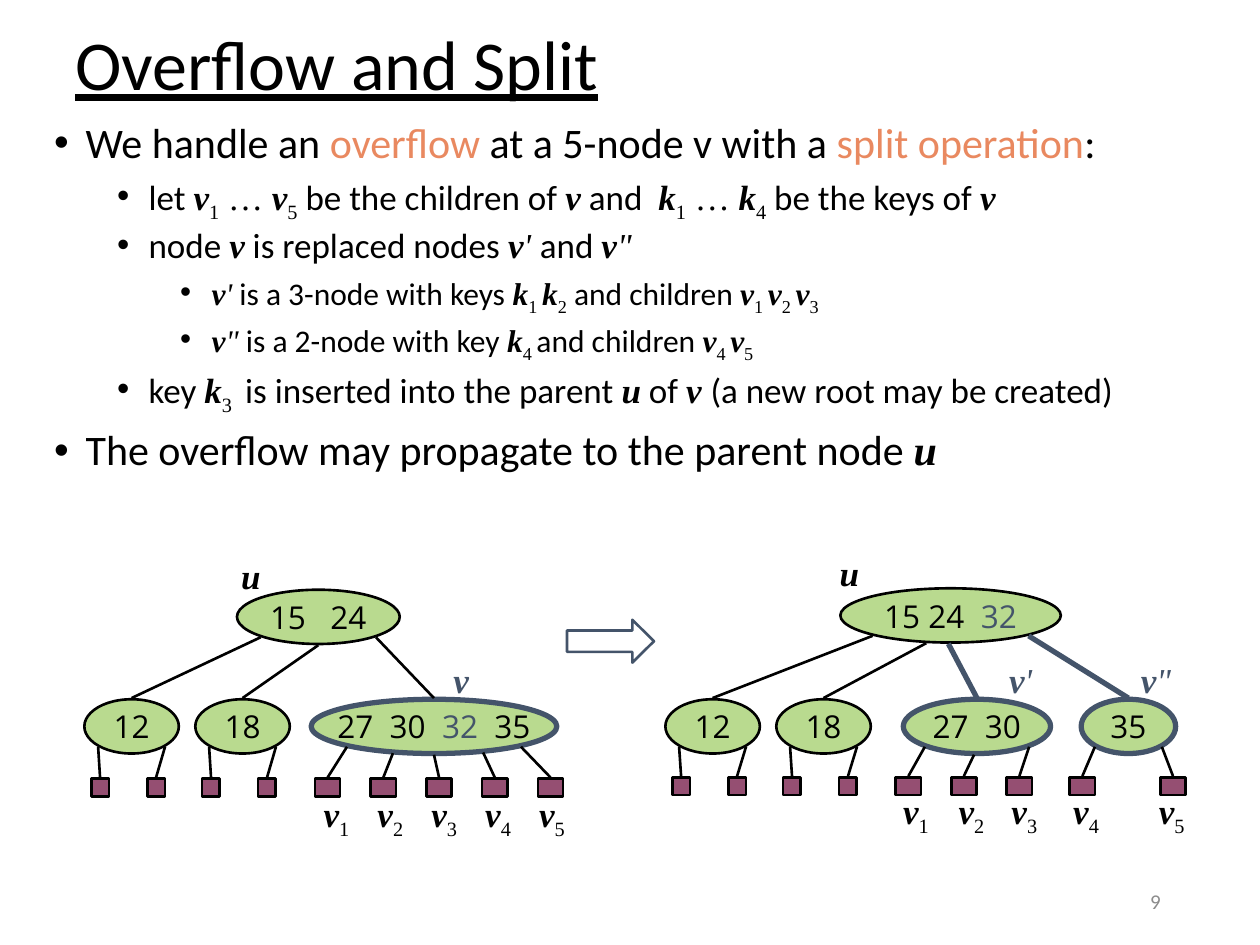
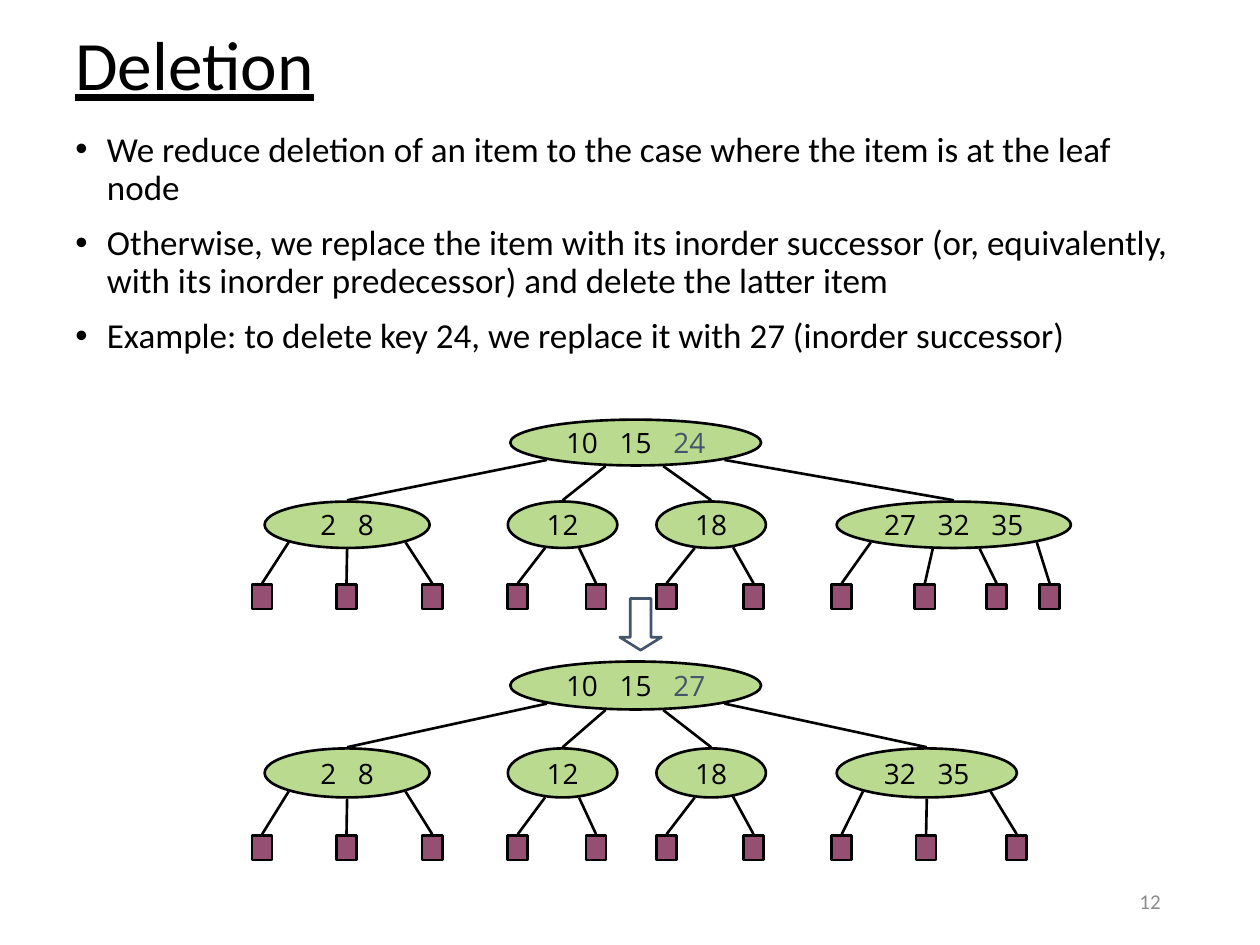
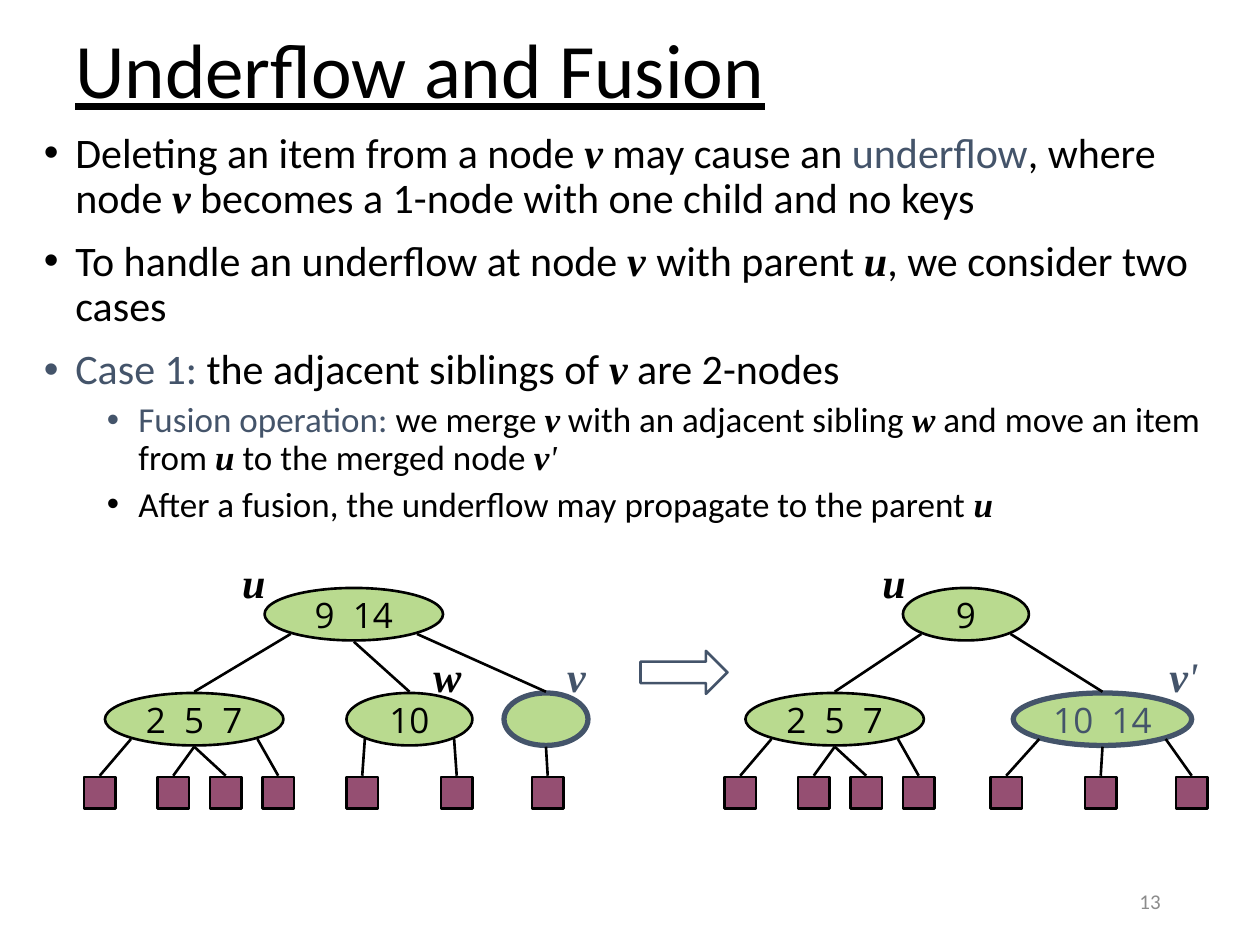
from math import sqrt

from lxml.etree import SubElement
from pptx import Presentation
from pptx.dml.color import RGBColor
from pptx.enum.shapes import MSO_CONNECTOR as Connector, MSO_SHAPE as Preset
from pptx.enum.text import MSO_ANCHOR as Anchor, PP_ALIGN as Align
from pptx.oxml.ns import qn
from pptx.util import Pt

BLACK = RGBColor(0x00, 0x00, 0x00)
SLATE = RGBColor(0x44, 0x54, 0x6A)
ORANGE = RGBColor(0xE9, 0x89, 0x60)
GRAY = RGBColor(0x8C, 0x8C, 0x8C)
GREEN = RGBColor(0xB9, 0xDA, 0x8F)
PLUM = RGBColor(0x95, 0x4F, 0x72)

SANS = "Calibri"
NODE_FONT = "Open Sans"
SERIF = "Times New Roman"
BULLET_SIZES = (24, 20, 18)
LOW, MIDDLE, HIGH = 0.146, 0.5, 0.854

MARKS = {
    "*": dict(font=SERIF, bold=True, italic=True),
    "~": dict(font=SERIF, italic=True),
    "=": dict(font=SERIF),
    "_": dict(font=SERIF, subscript=True),
    "#": dict(color=SLATE),
    "@": dict(color=ORANGE),
}


def add_run(paragraph, text, size=20, font=SANS, color=BLACK, bold=False,
            italic=False, underline=False, subscript=False):
    run = paragraph.add_run()
    run.text = text
    run.font.size = Pt(size)
    run.font.name = font
    run.font.color.rgb = color
    run.font.bold = bold
    run.font.italic = italic
    run.font.underline = underline
    if subscript:
        run.font._element.set("baseline", "-25000")


def write(paragraph, text, align=Align.LEFT, **style):
    paragraph.alignment = align
    for piece in filter(None, text.split("|")):
        if piece[0] in MARKS:
            add_run(paragraph, piece[1:], **{**style, **MARKS[piece[0]]})
        else:
            add_run(paragraph, piece, **style)


class Deck:
    def __init__(self):
        self.presentation = Presentation()
        self.presentation.slide_width = Pt(720)
        self.presentation.slide_height = Pt(540)

    def start(self, title, number, title_size, title_height, node_size, leaf_size):
        layout = self.presentation.slide_layouts[6]
        self.slide = self.presentation.slides.add_slide(layout)
        self.node_size = node_size
        self.leaf_size = leaf_size
        frame = self.frame(36, 12.2, 648, title_height, anchor=Anchor.MIDDLE)
        frame.paragraphs[0].line_spacing = 0.9
        write(frame.paragraphs[0], title, size=title_size, underline=True)
        frame = self.frame(508.3, 500.4, 162, 28.8, anchor=Anchor.MIDDLE)
        write(frame.paragraphs[0], number, align=Align.RIGHT, size=12, color=GRAY)

    def frame(self, left, top, width, height, anchor=Anchor.TOP, wrap=True):
        box = self.slide.shapes.add_textbox(Pt(left), Pt(top), Pt(width), Pt(height))
        frame = box.text_frame
        frame.word_wrap = wrap
        frame.vertical_anchor = anchor
        return frame

    def body(self, left, top, width, height, items, sizes=BULLET_SIZES):
        frame = self.frame(left, top, width, height)
        for index, (level, text) in enumerate(items):
            paragraph = frame.add_paragraph() if index else frame.paragraphs[0]
            paragraph.level = level
            paragraph.line_spacing = 0.9
            paragraph.space_before = Pt(5 if level else 10)
            write(paragraph, text, size=sizes[level])
            properties = paragraph._p.get_or_add_pPr()
            properties.set("marL", str(Pt(18 + 36 * level)))
            properties.set("indent", str(Pt(-18)))
            SubElement(properties, qn("a:buFont")).set("typeface", "Arial")
            SubElement(properties, qn("a:buChar")).set("char", "•")

    def label(self, text, left, top, width, height=31, size=20, inset=3.6, color=BLACK):
        frame = self.frame(left, top, width, height, wrap=False)
        frame.margin_left = frame.margin_right = 0
        frame.margin_top = frame.margin_bottom = Pt(inset)
        paragraph = frame.paragraphs[0]
        write(paragraph, text, align=Align.CENTER, size=size, color=color)

    def shape(self, preset, left, top, width, height, fill=None, line=BLACK, weight=1.5):
        shape = self.slide.shapes.add_shape(
            preset, Pt(left), Pt(top), Pt(width), Pt(height))
        shape.shadow.inherit = False
        if fill is None:
            shape.fill.background()
        else:
            shape.fill.solid()
            shape.fill.fore_color.rgb = fill
        shape.line.color.rgb = line
        shape.line.width = Pt(weight)
        return shape

    def arrow(self, preset, left, top, width, height, head):
        arrow = self.shape(preset, left, top, width, height, line=SLATE)
        arrow.adjustments[1] = head

    def node(self, text, left, top, width, height, marked=False):
        line, weight = (SLATE, 3) if marked else (BLACK, 1.5)
        node = self.shape(Preset.OVAL, left, top, width, height, GREEN, line, weight)
        frame = node.text_frame
        frame.word_wrap = False
        frame.vertical_anchor = Anchor.MIDDLE
        write(frame.paragraphs[0], text, align=Align.CENTER,
              size=self.node_size, font=NODE_FONT)
        return node

    def edge(self, parent, fraction, child, marked=False):
        depth = 0.5 + sqrt(fraction * (1 - fraction))
        edge = self.slide.shapes.add_connector(
            Connector.STRAIGHT,
            child.left + child.width // 2, child.top - Pt(0.7),
            parent.left + int(parent.width * fraction),
            parent.top + int(parent.height * depth) + Pt(0.7))
        edge.line.color.rgb = SLATE if marked else BLACK
        edge.line.width = Pt(3 if marked else 1.5)
        SubElement(edge._element.spPr, qn("a:effectLst"))

    def leaves(self, parent, top, links, width=None):
        leaf_width, height = self.leaf_size
        width = width or leaf_width
        for fraction, center in links:
            leaf = self.shape(Preset.RECTANGLE, center - width / 2, top,
                              width, height, PLUM)
            self.edge(parent, fraction, leaf)


def overflow_side(deck, shift, leaf_top):
    nodes = []
    for text, left in (("12", 48.2 + shift), ("18", 111.6 + shift)):
        node = deck.node(text, left, 399.6, 54, 31)
        deck.leaves(node, leaf_top, [(LOW, left + 9), (HIGH, left + 41)])
        nodes.append(node)
    return nodes


def overflow_slide(deck):
    deck.start("Overflow and Split", "9", 40, 53.3, 18, (10.1, 10.1))
    deck.body(23.8, 66.2, 678.2, 237.6, [
        (0, "We handle an |@overflow| at a 5-node v with a |@split operation|:"),
        (1, "let |*v|_1|= … |*v|_5| be the children of |*v| and  |*k|_1|= … |*k|_4"
            "| be the keys of |*v"),
        (1, "node |*v| is replaced nodes |*v|~' |and |*v|~\""),
        (2, "*v|~'| is a 3-node with keys |*k|_1 |*k|_2| and children "
            "|*v|_1 |*v|_2 |*v|_3"),
        (2, "*v|~\"| is a 2-node with key |*k|_4 |and children |*v|_4 |*v|_5"),
        (1, "key |*k|_3 | is inserted into the parent |*u| of |*v "
            "|(a new root may be created)"),
        (0, "The overflow may propagate to the parent node |*u"),
    ])
    wide_leaf = 14.4

    root = deck.node("15   24", 135.4, 337, 93, 31)
    full = deck.node("27  30  |#32|  35", 177.8, 399.6, 140.4, 31, marked=True)
    children = overflow_side(deck, 0, 445) + [full]
    for fraction, child in zip((LOW, MIDDLE, HIGH), children):
        deck.edge(root, fraction, child)
    fractions = (LOW, 0.333, MIDDLE, 0.7, HIGH)
    deck.leaves(full, 445, [(fraction, 187.2 + 31.85 * index)
                            for index, fraction in enumerate(fractions)], wide_leaf)
    deck.label("*u", 130.3, 313.2, 26)
    deck.label("*v", 252, 373, 23, color=SLATE)
    for index in range(5):
        deck.label(f"*v|_{index + 1}", 172.1 + 30.8 * index, 449.3, 40.3)

    root = deck.node("15 24  |#32", 480.2, 336.2, 126, 31)
    first = deck.node("27  30", 516.2, 399.6, 84.2, 31, marked=True)
    second = deck.node("35", 617.8, 399.6, 54, 31, marked=True)
    plain = overflow_side(deck, 332, 444.2)
    for fraction, child in zip((LOW, 0.39), plain):
        deck.edge(root, fraction, child)
    for fraction, child in ((0.49, first), (HIGH, second)):
        deck.edge(root, fraction, child, marked=True)
    deck.leaves(first, 444.2, [(LOW, 519.1), (0.48, 550.8), (HIGH, 582.5)], wide_leaf)
    deck.leaves(second, 444.2, [(LOW, 618.5), (HIGH, 670.3)], wide_leaf)
    deck.label("*u", 472.3, 311.8, 26)
    deck.label("*v|~'", 569.5, 373, 27.4, color=SLATE)
    deck.label("*v|~\"", 641.5, 373, 38.2, color=SLATE)
    for index, left in enumerate((503.3, 535, 565.2, 600.5, 649.4), 1):
        deck.label(f"*v|_{index}", left, 447.8, 40.3)
    deck.arrow(Preset.RIGHT_ARROW, 324, 354.2, 49.7, 24.5, 0.504)


def deletion_tree(deck, tops, heights, key, last_text, last_width, last_links):
    root_top, child_top, leaf_top = tops
    root_height, child_height = heights
    root = deck.node(f"10   15   |#{key}", 291.6, root_top, 143.3, root_height)
    branches = [
        (LOW, "2   8", 151.2, 94.3, [(LOW, 149.8), (MIDDLE, 198), (HIGH, 247)]),
        (0.38, "12", 290.2, 62.6, [(0.34, 295.9), (0.65, 340.6)]),
        (0.61, "18", 375.1, 62.6, [(0.35, 380.9), (0.7, 430.6)]),
        (HIGH, last_text, 478.1, last_width, last_links),
    ]
    for fraction, text, left, width, links in branches:
        child = deck.node(text, left, child_top, width, child_height)
        deck.edge(root, fraction, child)
        deck.leaves(child, leaf_top, links)


def deletion_slide(deck):
    deck.start("Deletion", "12", 39.6, 53.3, 16, (11.5, 14))
    deck.body(36, 72, 642.2, 197.3, [
        (0, "We reduce deletion of an item to the case where the item is at the "
            "leaf node"),
        (0, "Otherwise, we replace the item with its inorder successor (or, "
            "equivalently, with its inorder predecessor) and delete the latter item"),
        (0, "Example: to delete key 24, we replace it with 27 (inorder successor)"),
    ], sizes=(20,))
    deletion_tree(deck, (239.8, 286.6, 334), (26.2, 26.5), 24, "27   32   35", 133.9,
                  [(LOW, 481), (0.41, 528.5), (0.61, 569.5), (HIGH, 599.8)])
    deletion_tree(deck, (378, 427.7, 477.4), (27.4, 28), 27, "32   35", 103,
                  [(LOW, 481), (MIDDLE, 529.2), (HIGH, 581)])
    deck.arrow(Preset.DOWN_ARROW, 354.2, 342, 23.8, 29.5, 0.309)


def fusion_tree(deck, root_text, root_left, root_width, branches):
    root = deck.node(root_text, root_left, 336, root_width, 30)
    for fraction, text, left, width, marked, links in branches:
        child = deck.node(text, left, 396, width, 30, marked)
        deck.edge(root, fraction, child)
        deck.leaves(child, 444, links)


def sibling(left):
    links = [(LOW, left - 3), (MIDDLE, left + 39), (MIDDLE, left + 69), (HIGH, left + 99)]
    return LOW, "2  5  7", left, 102, False, links


def fusion_slide(deck):
    deck.start("Underflow and Fusion", "13", 44, 59.8, 20, (18, 18))
    deck.body(18, 72, 684, 252, [
        (0, "Deleting an item from a node |*v| may cause an |#underflow|, where node "
            "|*v| becomes a 1-node with one child and no keys"),
        (0, "To handle an underflow at node |*v |with parent |*u|, we consider two "
            "cases"),
        (0, "#Case 1:| the adjacent siblings of |*v| are 2-nodes"),
        (1, "#Fusion operation:| we merge |*v| with an adjacent sibling |*w| and move "
            "an item from |*u| to the merged node |*v|~'"),
        (1, "After a fusion, the underflow may propagate to the parent |*u"),
    ])
    fusion_tree(deck, "9  14", 151.2, 102, [
        sibling(60),
        (MIDDLE, "10", 198, 72, False, [(LOW, 207), (HIGH, 261)]),
        (HIGH, "", 288, 48, True, [(MIDDLE, 313)]),
    ])
    fusion_tree(deck, "9", 516, 72, [
        sibling(426),
        (HIGH, "#10  14", 579, 102, True, [(LOW, 575), (MIDDLE, 629), (HIGH, 681)]),
    ])
    for text, left, top, width, color in (
        ("*u", 138.2, 318, 13.7, BLACK),
        ("*w", 247.7, 372, 15.8, BLACK),
        ("*v", 324, 372, 10.8, SLATE),
        ("*u", 504, 318, 13.7, BLACK),
        ("*v|~'", 668.2, 372, 15.8, SLATE),
    ):
        deck.label(text, left, top, width, 28.8, size=24, inset=0, color=color)
    deck.arrow(Preset.RIGHT_ARROW, 366, 372, 49.7, 24.5, 0.504)


deck = Deck()
overflow_slide(deck)
deletion_slide(deck)
fusion_slide(deck)
deck.presentation.save("out.pptx")
